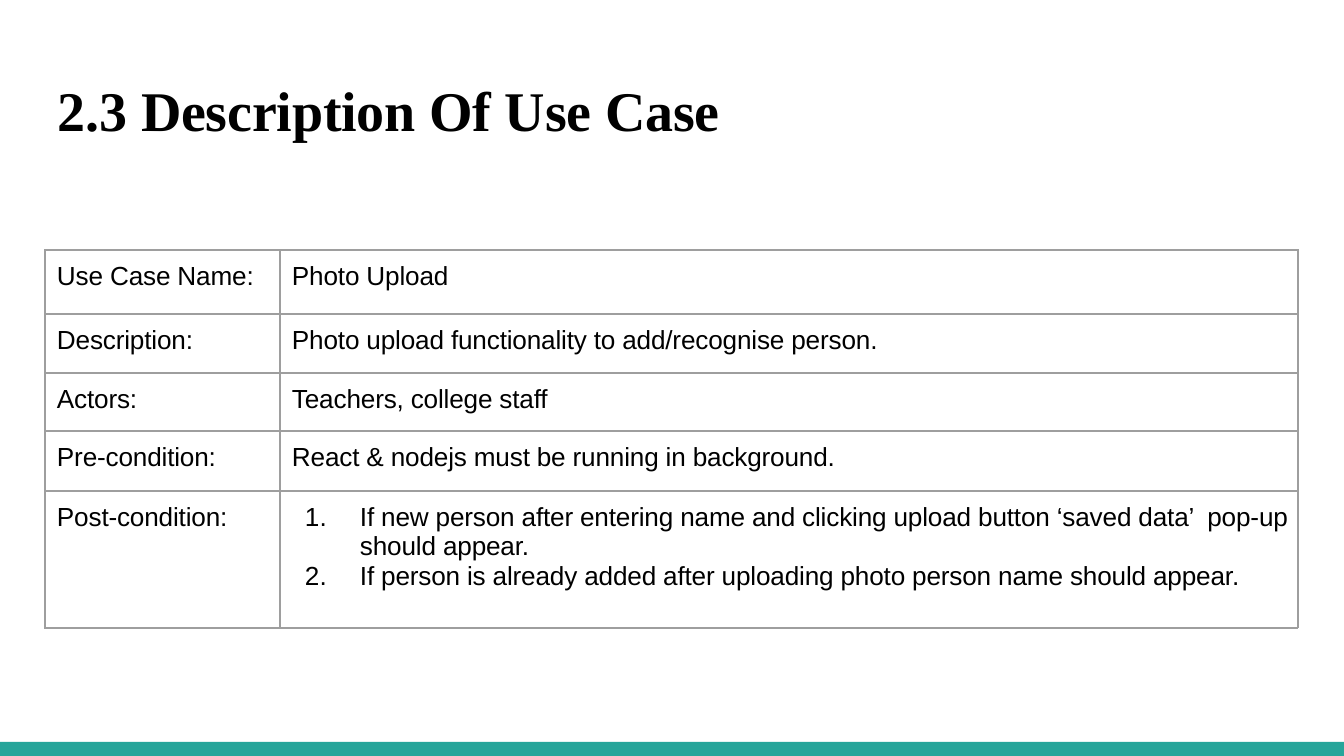
from pptx import Presentation
from pptx.dml.color import RGBColor
from pptx.enum.shapes import MSO_SHAPE
from pptx.enum.text import MSO_ANCHOR, PP_ALIGN
from pptx.oxml import parse_xml
from pptx.oxml.ns import nsdecls
from pptx.util import Pt

SCALE = 914400 / 134.4
COLORS = {"text": "000000", "border": "9E9E9E", "bar": "26A59A"}


def px(length):
    return round(length * SCALE)


def color(name):
    return RGBColor.from_string(COLORS[name])


def write(para, text, font="Arial", size=14, bold=False, before=0,
          indent=0, hanging=0, spacing=-0.1, numbered=False):
    para.alignment = PP_ALIGN.LEFT
    para.space_before = Pt(before)
    span = para.add_run()
    span.text = text
    span.font.name = font
    span.font.size = Pt(size)
    span.font.bold = bold
    span.font.color.rgb = color("text")
    span.font._element.set("spc", str(round(spacing * 100)))
    properties = para._p.get_or_add_pPr()
    properties.set("marL", str(px(indent)))
    properties.set("indent", str(-px(hanging)))
    bullet = '<a:buAutoNum %s type="arabicPeriod"/>' if numbered else "<a:buNone %s/>"
    properties.append(parse_xml(bullet % nsdecls("a")))


class SlideBuilder:
    def __init__(self, page):
        self.page = page

    def bar(self, left, top, width, height):
        box = self.page.shapes.add_shape(
            MSO_SHAPE.RECTANGLE, px(left), px(top), px(width), px(height))
        box.shadow.inherit = False
        box.fill.solid()
        box.fill.fore_color.rgb = color("bar")
        box.line.fill.background()

    def title(self, text, left, top, width, height):
        box = self.page.shapes.title
        box.left, box.top, box.width, box.height = map(px, (left, top, width, height))
        frame = box.text_frame
        frame.margin_left = frame.margin_right = frame.margin_bottom = 0
        frame.margin_top = px(1)
        frame.vertical_anchor = MSO_ANCHOR.TOP
        frame.word_wrap = True
        write(frame.paragraphs[0], text, font="Times New Roman", size=30,
              bold=True, before=1, indent=2)

    def border(self, cell):
        properties = cell._tc.get_or_add_tcPr()
        for side in ("lnL", "lnR", "lnT", "lnB"):
            properties.append(parse_xml(
                f'<a:{side} {nsdecls("a")} w="9525"><a:solidFill>'
                f'<a:srgbClr val="{COLORS["border"]}"/></a:solidFill></a:{side}>'))

    def cell(self, cell, content):
        cell.margin_left = cell.margin_right = cell.margin_bottom = 0
        cell.margin_top = px(12)
        self.border(cell)
        cell.fill.background()
        frame = cell.text_frame
        if isinstance(content, str):
            write(frame.paragraphs[0], content, before=6.2, indent=12)
            return
        for index, text in enumerate(content):
            para = frame.add_paragraph() if index else frame.paragraphs[0]
            write(para, text, before=0 if index else 6.2, indent=80,
                  hanging=55, numbered=True)

    def table(self, rows, left, top, widths, heights):
        table = self.page.shapes.add_table(
            len(rows), len(widths), px(left), px(top),
            px(sum(widths)), px(sum(heights))).table
        table.first_row = table.horz_banding = False
        for column, width in zip(table.columns, widths):
            column.width = px(width)
        for row, height, contents in zip(table.rows, heights, rows):
            row.height = px(height)
            for cell, content in zip(row.cells, contents):
                self.cell(cell, content)


USE_CASE = [
    ("Use Case Name:", "Photo Upload"),
    ("Description:", "Photo upload functionality to add/recognise person."),
    ("Actors:", "Teachers, college staff"),
    ("Pre-condition:", "React & nodejs must be running in background."),
    ("Post-condition:", [
        "If new person after entering name and clicking upload button "
        "‘saved data’ \u00a0pop-up should appear.",
        "If person is already added after uploading photo person name should appear.",
    ]),
]

deck = Presentation()
deck.slide_width, deck.slide_height = px(1344), px(756)
builder = SlideBuilder(deck.slides.add_slide(deck.slide_layouts[5]))
builder.bar(0, 742, 1344, 14)
builder.title("2.3 Description Of Use Case", 56, 74, 671, 71)
builder.table(USE_CASE, 45, 250, widths=(235, 1018), heights=(64, 59, 58, 60, 137))
deck.save("out.pptx")
